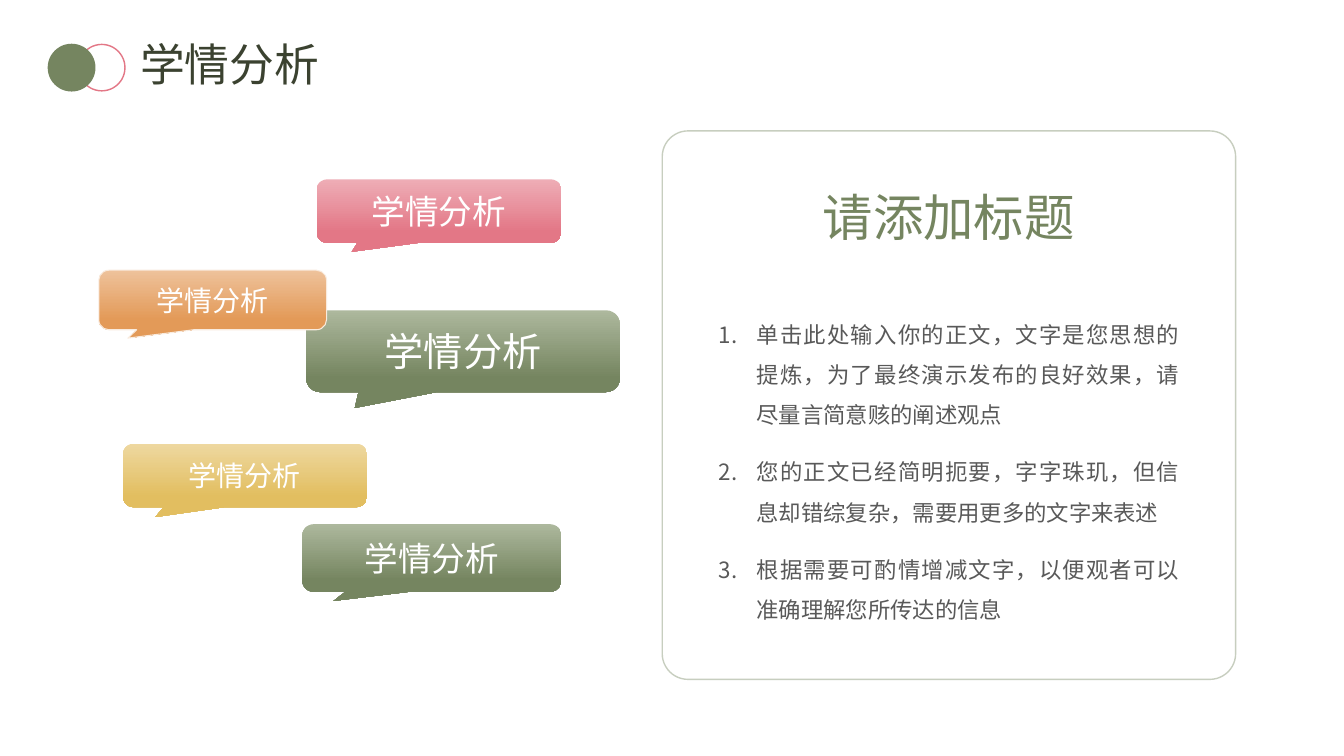
"""Build a slide with topic callouts beside a framed numbered list."""
from dataclasses import dataclass

import pptx
import pptx.dml.color
import pptx.enum.shapes
import pptx.enum.text
import pptx.oxml
import pptx.oxml.ns
import pptx.util

Cm = pptx.util.Cm
Pt = pptx.util.Pt
Shape = pptx.enum.shapes.MSO_SHAPE
Align = pptx.enum.text.PP_ALIGN
Anchor = pptx.enum.text.MSO_ANCHOR


@dataclass(frozen=True)
class Theme:
    """Colours, gradients and type sizes of the slide."""
    font: str = "Noto Sans CJK SC"
    ink: str = "3B4230"
    body: str = "595959"
    white: str = "FFFFFF"
    green: str = "758560"
    pink: str = "E37786"
    cream: str = "F9EBDE"
    green_fade: tuple = ("ADB89D", "758560")
    yellow_fade: tuple = ("EED8A0", "E2BE60")
    pink_fade: tuple = ("EEADB6", "E37786")
    orange_fade: tuple = ("EEC29B", "E39A58")
    title_size: int = 32
    heading_size: int = 36
    body_size: int = 16
    large: int = 28
    medium: int = 24
    small: int = 20


THEME = Theme()
TOPIC = "学情分析"
POINTS = (
    "单击此处输入你的正文，文字是您思想的提炼，为了最终演示发布的良好效果，请尽量言简意赅的阐述观点",
    "您的正文已经简明扼要，字字珠玑，但信息却错综复杂，需要用更多的文字来表述",
    "根据需要可酌情增减文字，以便观者可以准确理解您所传达的信息",
)
CALLOUTS = (
    ((7.72, 7.82, 7.9, 2.06), (-0.345, 0.694), THEME.green_fade, THEME.large, None),
    ((3.1, 11.18, 6.15, 1.6), (-0.367, 0.655), THEME.yellow_fade, THEME.small, None),
    ((7.98, 4.52, 6.17, 1.6), (-0.356, 0.64), THEME.pink_fade, THEME.medium, None),
    ((7.62, 13.21, 6.53, 1.7), (-0.379, 0.637), THEME.green_fade, THEME.medium, None),
    ((2.49, 6.81, 5.74, 1.5), (-0.372, 0.641), THEME.orange_fade, THEME.small, THEME.cream),
)


def rgb(value):
    """Turn a hex string into a colour."""
    return pptx.dml.color.RGBColor.from_string(value)


def add_child(parent, tag, **attributes):
    """Append a drawing element with the given attributes."""
    child = pptx.oxml.parse_xml(f"<a:{tag} {pptx.oxml.ns.nsdecls('a')}/>")
    for name, value in attributes.items():
        child.set(name, value)
    parent.append(child)


def set_font(para, size, color):
    """Set one typeface, size and colour for a whole paragraph."""
    font = para.font
    font.name, font.size = THEME.font, Pt(size)
    font.color.rgb = rgb(color)
    add_child(para._p.pPr.find(pptx.oxml.ns.qn("a:defRPr")), "ea", typeface=THEME.font)


def clear_margins(frame):
    """Remove all inner margins of a text frame."""
    frame.margin_left = frame.margin_right = frame.margin_top = frame.margin_bottom = 0


def add_outline(page, kind, area, fill=None, line=None, width=1):
    """Add a preset shape with an optional fill and line."""
    shape = page.shapes.add_shape(kind, *map(Cm, area))
    shape.shadow.inherit = False
    if fill:
        shape.fill.solid()
        shape.fill.fore_color.rgb = rgb(fill)
    else:
        shape.fill.background()
    if line:
        shape.line.color.rgb = rgb(line)
        shape.line.width = Pt(width)
    else:
        shape.line.fill.background()
    return shape


def add_frame(page, area):
    """Add the rounded frame with a translucent line."""
    frame = add_outline(page, Shape.ROUNDED_RECTANGLE, area, line=THEME.green)
    frame.adjustments[0] = 0.047
    color = frame.line._ln.find(".//" + pptx.oxml.ns.qn("a:srgbClr"))
    add_child(color, "alpha", val="40000")


def add_callout(page, area, tip, fade, size, line):
    """Add a gradient speech bubble holding the topic."""
    callout = add_outline(page, Shape.ROUNDED_RECTANGULAR_CALLOUT, area, line=line, width=0.75)
    for index, value in enumerate((*tip, 0.167)):
        callout.adjustments[index] = value
    callout.fill.gradient()
    callout.fill.gradient_angle = 270
    for stop, position, color in zip(callout.fill.gradient_stops, (0, 0.83), fade):
        stop.position = position
        stop.color.rgb = rgb(color)
    frame = callout.text_frame
    clear_margins(frame)
    frame.vertical_anchor = Anchor.MIDDLE
    para = frame.paragraphs[0]
    para.text, para.alignment = TOPIC, Align.CENTER
    set_font(para, size, THEME.white)


def add_text(page, area, text, size, color):
    """Add a wrapping one-paragraph text box and return its frame."""
    frame = page.shapes.add_textbox(*map(Cm, area)).text_frame
    frame.word_wrap = True
    para = frame.paragraphs[0]
    para.text = text
    set_font(para, size, color)
    return frame


def add_numbered_list(page, area, points):
    """Add a justified list with automatic numbers."""
    frame = page.shapes.add_textbox(*map(Cm, area)).text_frame
    frame.word_wrap = True
    clear_margins(frame)
    for index, point in enumerate(points):
        para = frame.add_paragraph() if index else frame.paragraphs[0]
        para.text, para.alignment = point, Align.JUSTIFY
        para.line_spacing = 1.5
        if index:
            para.space_before = Pt(12)
        indent = Cm(0.96)
        settings = para._p.get_or_add_pPr()
        settings.set("marL", str(indent))
        settings.set("indent", str(-indent))
        add_child(settings, "buFont", typeface="+mj-lt")
        add_child(settings, "buAutoNum", type="arabicPeriod")
        set_font(para, THEME.body_size, THEME.body)


def main():
    """Compose the slide and save it."""
    deck = pptx.Presentation()
    deck.slide_width, deck.slide_height = Cm(33.87), Cm(19.05)
    page = deck.slides.add_slide(deck.slide_layouts[6])

    add_outline(page, Shape.OVAL, (1.98, 1.12, 1.17, 1.17), line=THEME.pink)
    add_outline(page, Shape.OVAL, (1.22, 1.12, 1.17, 1.17), THEME.green, THEME.green)
    title = add_text(page, (3.28, 0.91, 12.78, 1.55), TOPIC, THEME.title_size, THEME.ink)
    title.vertical_anchor = Anchor.MIDDLE
    title.paragraphs[0].line_spacing = 0.9

    add_frame(page, (16.69, 3.3, 14.45, 13.82))
    for callout in CALLOUTS:
        add_callout(page, *callout)

    add_numbered_list(page, (18.11, 7.75, 11.63, 7.95), POINTS)
    heading = add_text(page, (19.2, 4.7, 9.42, 1.55), "请添加标题", THEME.heading_size, THEME.green)
    clear_margins(heading)
    heading.paragraphs[0].alignment = Align.CENTER
    deck.save("out.pptx")


if __name__ == "__main__":
    main()
